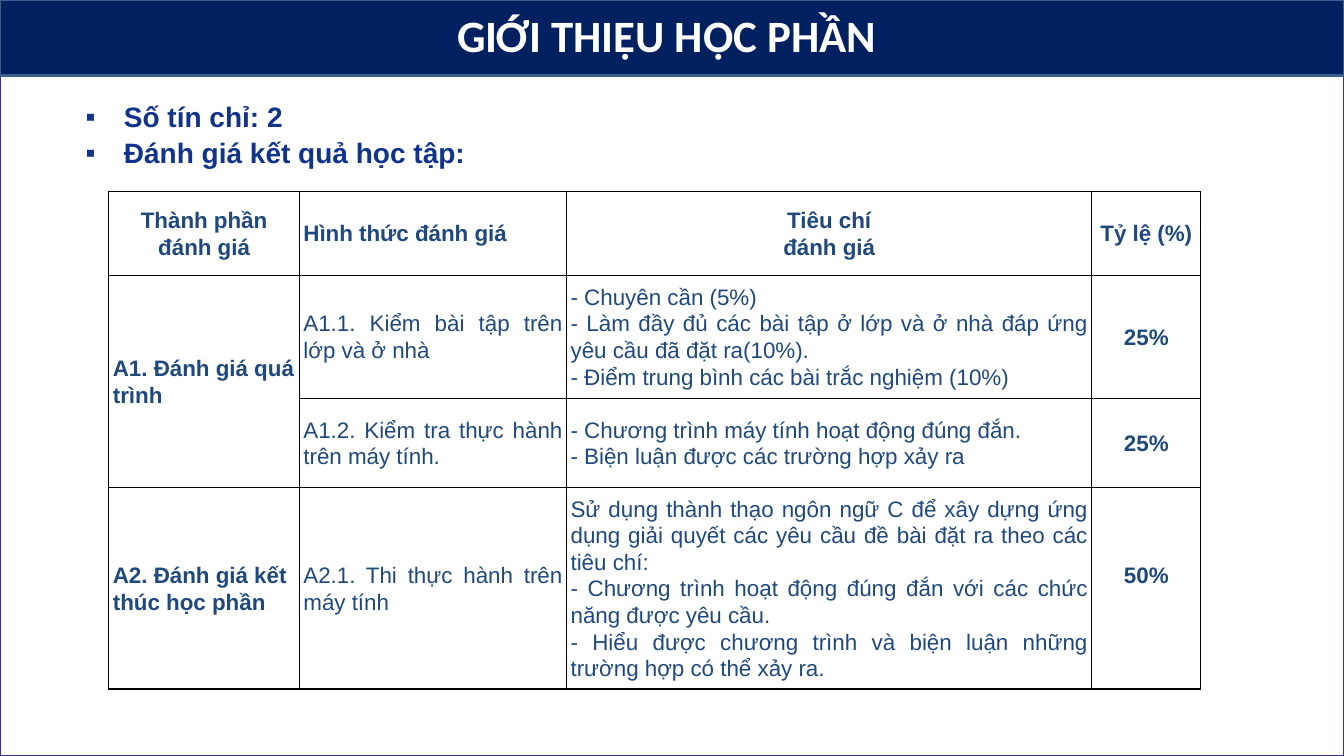
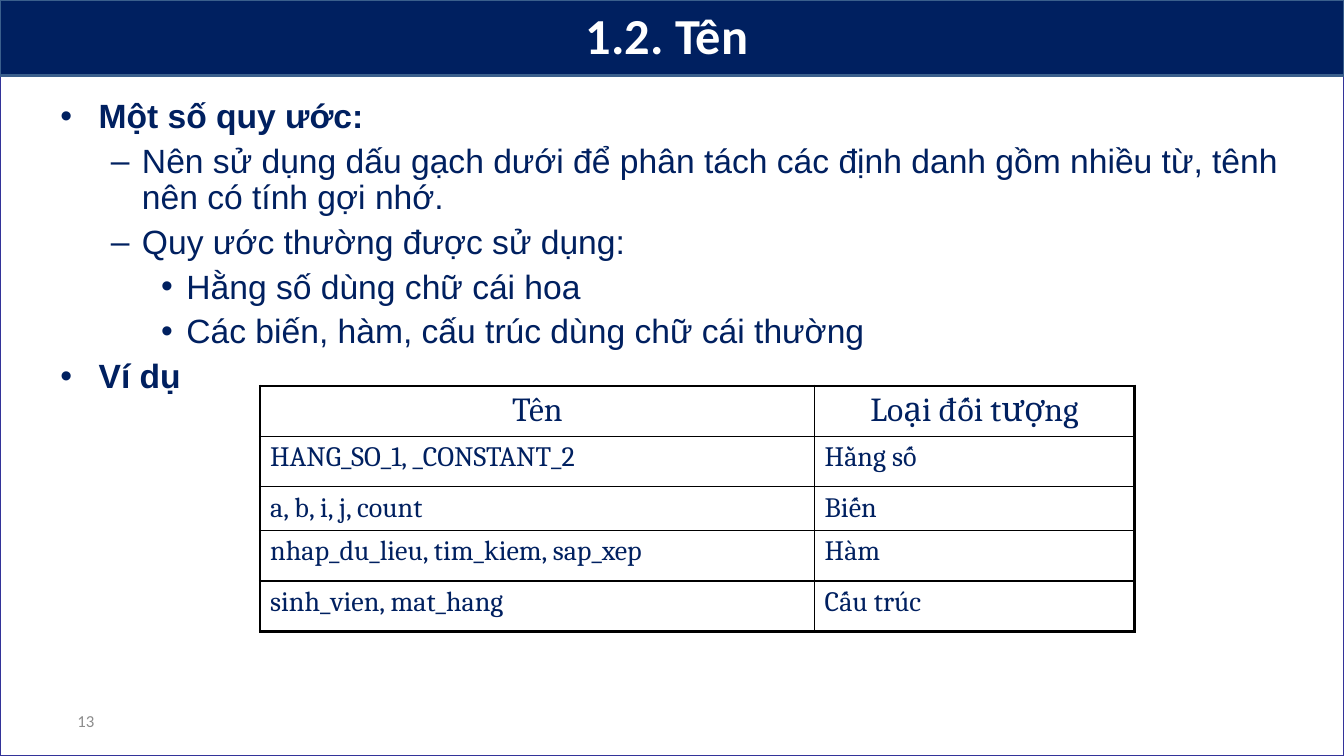
"""Build two course slides: the assessment scheme and the naming conventions."""
from dataclasses import dataclass, field
from typing import Any, Optional

from lxml import etree
from pptx import Presentation, util as u
from pptx.dml import color as c
from pptx.enum import shapes, text
from pptx.oxml import ns

LEFT, CENTER, JUSTIFY = (
    text.PP_ALIGN.LEFT, text.PP_ALIGN.CENTER, text.PP_ALIGN.JUSTIFY)
TOP, MIDDLE = text.MSO_ANCHOR.TOP, text.MSO_ANCHOR.MIDDLE


@dataclass(frozen=True)
class Theme:
    navy: str = "002060"
    white: str = "FFFFFF"
    frame: str = "333399"
    band_edge: str = "3A5F8C"
    outline: str = "10338C"
    assessment: str = "1F497D"
    muted: str = "8C8C8C"
    border: str = "000000"
    heading_font: str = "Calibri"
    body_font: str = "Arial"
    table_font: str = "Cambria"
    title_size: float = 36
    small_title_size: float = 32
    body_size: float = 24
    outline_size: float = 20
    assessment_size: float = 16
    number_size: float = 12
    width: float = 13.33
    height: float = 7.5
    band_height: float = 0.75


THEME = Theme()


@dataclass(frozen=True)
class Style:
    font: str
    size: float
    color: str
    bold: bool = False


@dataclass(frozen=True)
class Box:
    left: float
    top: float
    width: float
    height: float

    def lengths(self) -> list[int]:
        return [u.Inches(v) for v in (self.left, self.top, self.width, self.height)]


@dataclass(frozen=True)
class Bullet:
    char: str
    margin: float
    hanging: float
    level: int = 0


@dataclass(frozen=True)
class Item:
    text: str
    bullet: Optional[Bullet] = None
    bold: bool = False


@dataclass(frozen=True)
class Cell:
    text: str
    align: Any = LEFT
    bold: bool = False
    size: Optional[float] = None
    bottom: Optional[float] = None


@dataclass(frozen=True)
class Grid:
    left: float
    top: float
    columns: list[float]
    rows: list[float]
    cells: list[list[Cell]]
    style: Style
    anchor: Any
    margins: tuple[float, float]
    outer: float = 1
    spacing: float = 1
    merges: list[tuple[int, int, int, int]] = field(default_factory=list)


SQUARE = Bullet("▪", 0.38, 0.38)
DOT = Bullet("•", 0.38, 0.38)
DASH = Bullet("–", 0.81, 0.31, 1)
SUB_DOT = Bullet("•", 1.25, 0.25, 2)


def apply(target: Any, values: dict[str, Any]) -> None:
    for name, value in values.items():
        setattr(target, name, value)


def rgb(value: str) -> c.RGBColor:
    return c.RGBColor.from_string(value)


def write(paragraph: Any, content: str, style: Style, bold: bool,
          size: Optional[float] = None) -> None:
    run = paragraph.add_run()
    run.text = content
    apply(run.font, {"name": style.font, "size": u.Pt(size or style.size), "bold": bold})
    run.font.fill.solid()
    run.font.fill.fore_color.rgb = rgb(style.color)


def add_bullet(paragraph: Any, bullet: Bullet) -> None:
    paragraph.level = bullet.level
    properties = paragraph._p.get_or_add_pPr()
    properties.set("marL", str(u.Inches(bullet.margin)))
    properties.set("indent", str(-u.Inches(bullet.hanging)))
    etree.SubElement(properties, ns.qn("a:buFont")).set("typeface", THEME.body_font)
    etree.SubElement(properties, ns.qn("a:buChar")).set("char", bullet.char)


def add_text(slide: Any, box: Box, items: list[Item], style: Style,
             anchor: Any = TOP, align: Any = LEFT,
             spacing: float = 1, before: float = 0) -> None:
    frame = slide.shapes.add_textbox(*box.lengths()).text_frame
    apply(frame, {"word_wrap": True, "vertical_anchor": anchor})
    for index, item in enumerate(items):
        paragraph = frame.add_paragraph() if index else frame.paragraphs[0]
        if item.bullet:
            add_bullet(paragraph, item.bullet)
        apply(paragraph, {"alignment": align, "line_spacing": spacing,
                          "space_before": u.Pt(before if index else 0)})
        write(paragraph, item.text, style, item.bold or style.bold)


def add_panel(slide: Any, box: Box, fill: str, line: str) -> None:
    shape = slide.shapes.add_shape(shapes.MSO_SHAPE.RECTANGLE, *box.lengths())
    shape.shadow.inherit = False
    shape.fill.solid()
    shape.fill.fore_color.rgb = rgb(fill)
    shape.line.color.rgb = rgb(line)
    shape.line.width = u.Pt(2)


def start_slide(presentation: Any, title: str, size: float) -> Any:
    slide = presentation.slides.add_slide(presentation.slide_layouts[6])
    add_panel(slide, Box(0, 0, THEME.width, THEME.height), THEME.white, THEME.frame)
    add_panel(slide, Box(0, 0, THEME.width, THEME.band_height),
              THEME.navy, THEME.band_edge)
    add_text(slide, Box(0, -0.03, 13.23, THEME.band_height), [Item(title)],
             Style(THEME.heading_font, size, THEME.white, True), MIDDLE, CENTER)
    return slide


def add_borders(cell: Any, widths: dict[str, float]) -> None:
    properties = cell._tc.get_or_add_tcPr()
    for side, width in widths.items():
        line = etree.SubElement(properties, ns.qn(f"a:ln{side}"), w=str(u.Pt(width)))
        fill = etree.SubElement(line, ns.qn("a:solidFill"))
        etree.SubElement(fill, ns.qn("a:srgbClr"), val=THEME.border)


def fill_cell(cell: Any, content: Cell, grid: Grid) -> None:
    side, edge = (u.Inches(margin) for margin in grid.margins)
    bottom = edge if content.bottom is None else u.Inches(content.bottom)
    apply(cell, {"margin_left": side, "margin_right": side, "margin_top": edge,
                 "margin_bottom": bottom, "vertical_anchor": grid.anchor})
    for index, line in enumerate(content.text.split("\n")):
        frame = cell.text_frame
        paragraph = frame.add_paragraph() if index else frame.paragraphs[0]
        apply(paragraph, {"alignment": content.align, "line_spacing": grid.spacing})
        if line:
            write(paragraph, line, grid.style, content.bold, content.size)


def add_grid(slide: Any, grid: Grid) -> None:
    box = Box(grid.left, grid.top, sum(grid.columns), sum(grid.rows))
    last_row, last_column = len(grid.rows) - 1, len(grid.columns) - 1
    table = slide.shapes.add_table(
        last_row + 1, last_column + 1, *box.lengths()).table
    apply(table, {"first_row": False, "horz_banding": False})
    for column, width in zip(table.columns, grid.columns):
        column.width = u.Inches(width)
    for row, height in zip(table.rows, grid.rows):
        row.height = u.Inches(height)
    for y, contents in enumerate(grid.cells):
        for x, content in enumerate(contents):
            cell = table.cell(y, x)
            fill_cell(cell, content, grid)
            outside = {"L": x == 0, "R": x == last_column,
                       "T": y == 0, "B": y == last_row}
            add_borders(cell, {side: grid.outer if edge else 1
                               for side, edge in outside.items()})
            cell.fill.background()
    for top, left, bottom, right in grid.merges:
        table.cell(top, left).merge(table.cell(bottom, right))


def add_assessment_slide(presentation: Any) -> None:
    slide = start_slide(presentation, "GIỚI THIỆU HỌC PHẦN", THEME.small_title_size)
    add_text(slide, Box(0.75, 0.98, 10.25, 0.85),
             [Item("Số tín chỉ: 2", SQUARE), Item("Đánh giá kết quả học tập:", SQUARE)],
             Style(THEME.body_font, THEME.outline_size, THEME.outline, True),
             spacing=0.9, before=4)
    cells = [
        [Cell("Thành phần đánh giá", CENTER, True),
         Cell("Hình thức đánh giá", JUSTIFY, True),
         Cell("Tiêu chí\nđánh giá", CENTER, True),
         Cell("Tỷ lệ (%)", CENTER, True)],
        [Cell("A1. Đánh giá quá trình", bold=True),
         Cell("A1.1. Kiểm bài tập trên lớp và ở nhà", JUSTIFY),
         Cell("- Chuyên cần (5%)\n"
              "- Làm đầy đủ các bài tập ở lớp và ở nhà đáp ứng yêu cầu đã đặt ra(10%).\n"
              "- Điểm trung bình các bài trắc nghiệm (10%)", JUSTIFY),
         Cell("25%", CENTER, True)],
        [Cell(""),
         Cell("A1.2. Kiểm tra thực hành trên máy tính.", JUSTIFY),
         Cell("- Chương trình máy tính hoạt động đúng đắn.\n"
              "- Biện luận được các trường hợp xảy ra"),
         Cell("25%", CENTER, True)],
        [Cell("A2. Đánh giá kết thúc học phần", bold=True),
         Cell("A2.1. Thi thực hành trên máy tính", JUSTIFY),
         Cell("Sử dụng thành thạo ngôn ngữ C để xây dựng ứng dụng giải quyết "
              "các yêu cầu đề bài đặt ra theo các tiêu chí:\n"
              "- Chương trình hoạt động đúng đắn với các chức năng được yêu cầu.\n"
              "- Hiểu được chương trình và biện luận những trường hợp có thể xảy ra.",
              JUSTIFY),
         Cell("50%", CENTER, True, bottom=0.26)],
    ]
    add_grid(slide, Grid(
        1.08, 1.9, [1.89, 2.65, 5.21, 1.08], [0.83, 1.22, 0.89, 1.85], cells,
        Style(THEME.body_font, THEME.assessment_size, THEME.assessment),
        MIDDLE, (0.04, 0), spacing=1.07, merges=[(1, 0, 2, 0)]))


def add_naming_slide(presentation: Any) -> None:
    slide = start_slide(presentation, "1.2. Tên", THEME.title_size)
    items = [
        Item("Một số quy ước:", DOT, True),
        Item("Nên sử dụng dấu gạch dưới để phân tách các định danh gồm nhiều từ, "
             "tênh nên có tính gợi nhớ.", DASH),
        Item("Quy ước thường được sử dụng:", DASH),
        Item("Hằng số dùng chữ cái hoa", SUB_DOT),
        Item("Các biến, hàm, cấu trúc dùng chữ cái thường", SUB_DOT),
        Item("Ví dụ", DOT, True),
    ]
    add_text(slide, Box(0.5, 0.94, 12.58, 3.15), items,
             Style(THEME.body_font, THEME.body_size, THEME.navy),
             spacing=0.9, before=6)
    examples = [
        ("HANG_SO_1, _CONSTANT_2", "Hằng số"),
        ("a, b, i, j, count", "Biến"),
        ("nhap_du_lieu, tim_kiem, sap_xep", "Hàm"),
        ("sinh_vien, mat_hang", "Cấu trúc"),
    ]
    header = [Cell(label, CENTER, size=THEME.body_size)
              for label in ("Tên", "Loại đối tượng")]
    cells = [header] + [[Cell(value) for value in example] for example in examples]
    add_grid(slide, Grid(
        2.58, 3.83, [5.5, 3.17], [0.5, 0.5, 0.43, 0.5, 0.5], cells,
        Style(THEME.table_font, THEME.outline_size, THEME.navy),
        TOP, (0.1, 0.05), outer=2.25))
    add_text(slide, Box(0.67, 6.95, 3.11, 0.4), [Item("13")],
             Style(THEME.heading_font, THEME.number_size, THEME.muted), MIDDLE)


def main() -> None:
    presentation = Presentation()
    apply(presentation, {"slide_width": u.Inches(THEME.width),
                         "slide_height": u.Inches(THEME.height)})
    add_assessment_slide(presentation)
    add_naming_slide(presentation)
    presentation.save("out.pptx")


if __name__ == "__main__":
    main()
